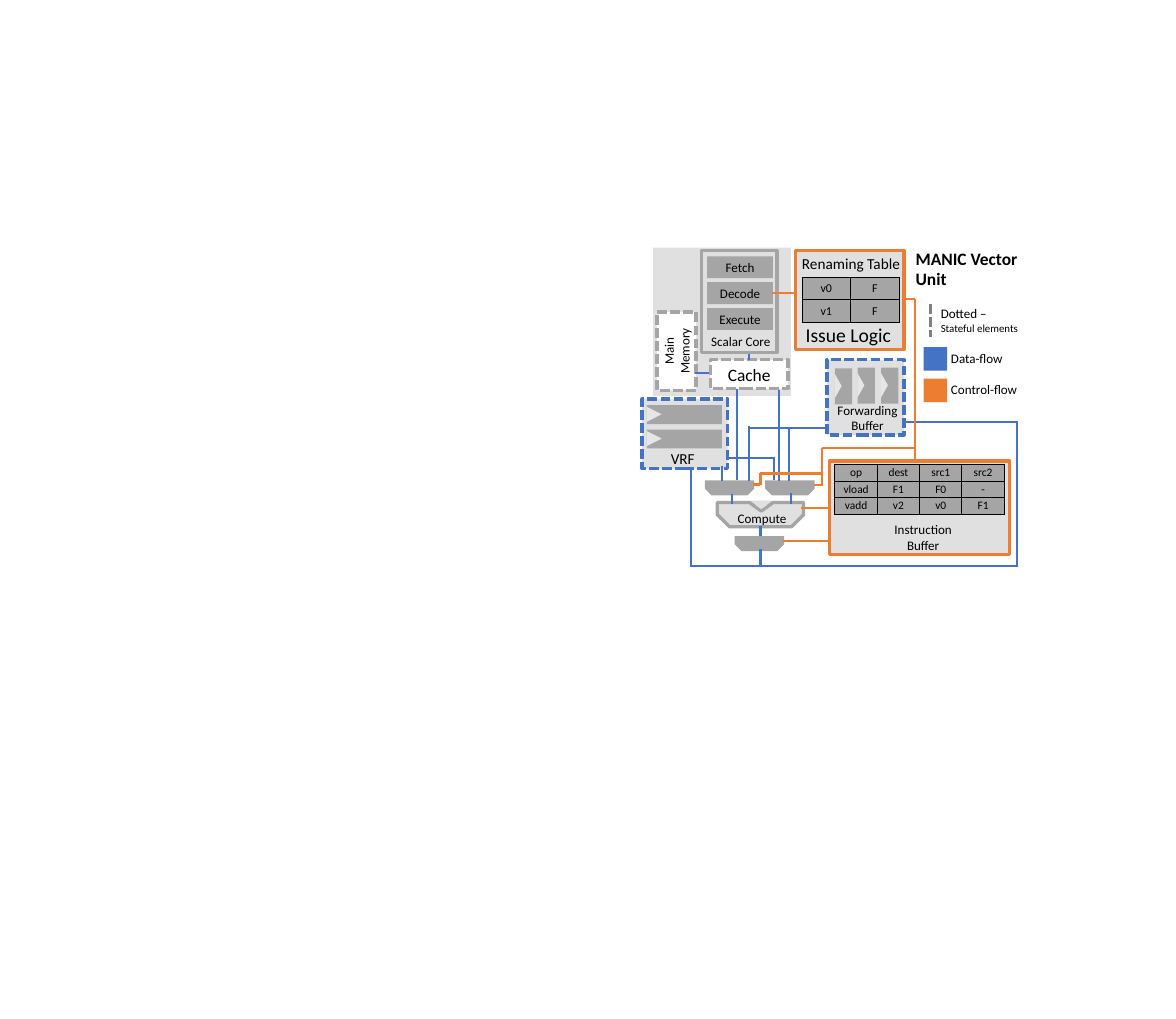
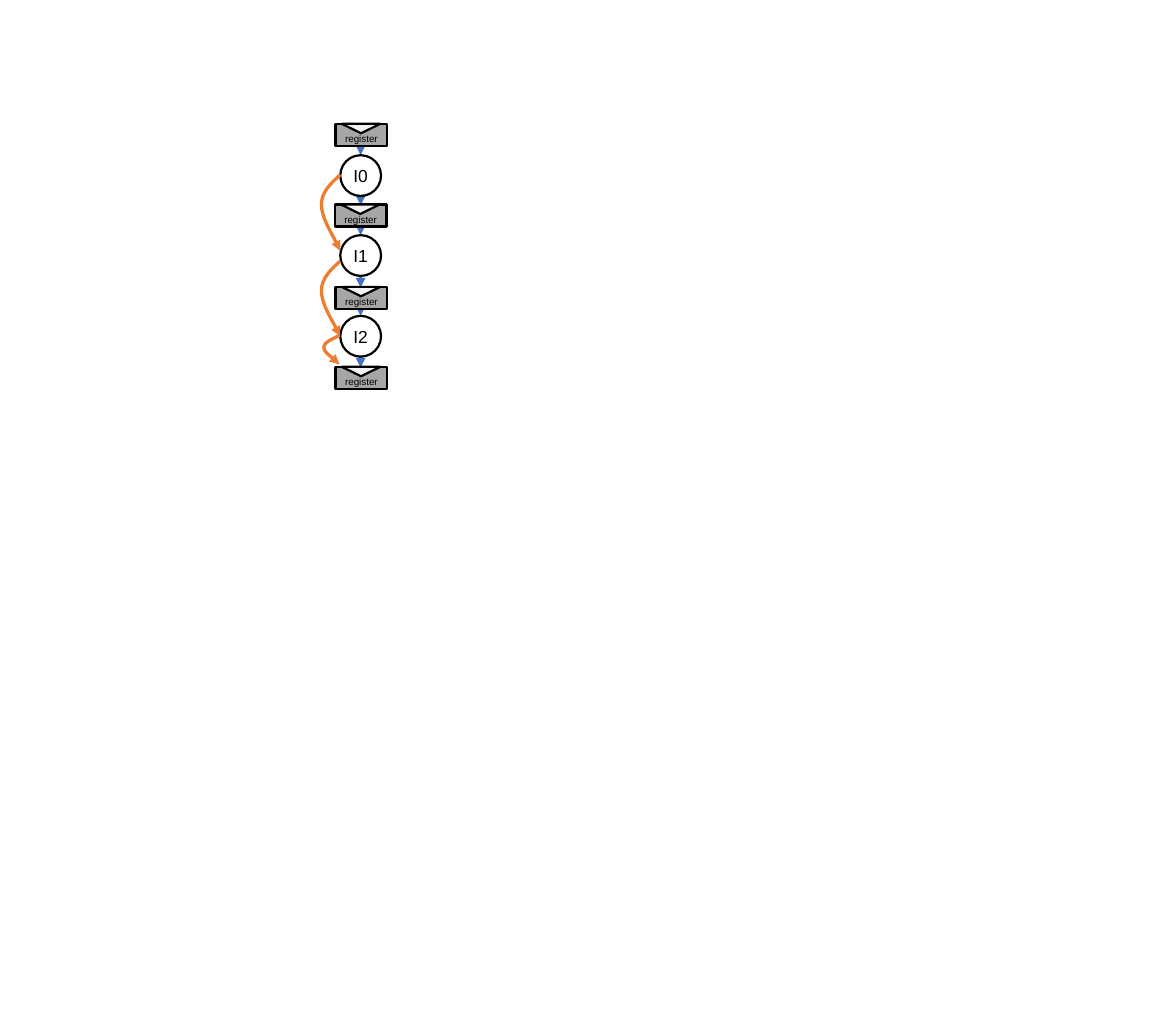
import dataclasses

import lxml.etree
import pptx
import pptx.dml.color
import pptx.enum.dml
import pptx.enum.shapes
import pptx.enum.text
import pptx.oxml.ns
import pptx.util

PX = 9144  # EMU in one px: 100 px make an inch
SHAPE = pptx.enum.shapes.MSO_SHAPE
ALIGN = pptx.enum.text.PP_ALIGN
ANCHOR = pptx.enum.text.MSO_ANCHOR
qn = pptx.oxml.ns.qn


@dataclasses.dataclass(frozen=True)
class Theme:
    data: str = "4472C4"
    control: str = "ED7D31"
    unit: str = "A5A5A5"
    panel: str = "E0E0E0"
    notch: str = "E7E6E6"
    dotted: str = "808080"
    register: str = "A6A6A6"
    register_notch: str = "F2F2F2"
    ink: str = "000000"
    paper: str = "FFFFFF"
    font: str = "Calibri"
    flow_font: str = "Arial"
    tiny: float = 9
    note: float = 10
    cell: float = 10.5
    entry: float = 11
    body: float = 12
    caption: float = 14
    heading: float = 16
    large: float = 18


THEME = Theme()


# --- Element helpers ---

def rgb(color):
    return pptx.dml.color.RGBColor.from_string(color)


def emu(*lengths):
    return [length * PX for length in lengths]


def write(holder, text, *, size=THEME.body, last_size=None, font=THEME.font,
          bold=False, align=ALIGN.CENTER, anchor=None, insets=None, wrap=True):
    """Put text in a shape or cell, one paragraph for each line."""
    frame = holder.text_frame
    if hasattr(holder, "vertical_anchor"):
        holder.vertical_anchor = anchor
        margins = holder
    else:
        frame.vertical_anchor = anchor
        frame.word_wrap = wrap
        margins = frame
    if insets is not None:
        (margins.margin_left, margins.margin_top,
         margins.margin_right, margins.margin_bottom) = emu(*insets)
    lines = text.split("\n")
    for index, line in enumerate(lines):
        paragraph = frame.paragraphs[0] if index == 0 else frame.add_paragraph()
        paragraph.alignment = align
        run = paragraph.add_run()
        run.text = line
        is_last = index == len(lines) - 1
        run.font.size = pptx.util.Pt(last_size if last_size and is_last else size)
        run.font.name = font
        run.font.bold = bold
        run.font.color.rgb = rgb(THEME.ink)


def stroke(line, color, weight, dashed=False):
    line.color.rgb = rgb(color)
    line.width = pptx.util.Pt(weight)
    if dashed:
        line.dash_style = pptx.enum.dml.MSO_LINE.SQUARE_DOT


def add_arrowhead(item):
    outline = item.element.find(".//" + qn("a:ln"))
    lxml.etree.SubElement(outline, qn("a:tailEnd"), type="triangle")


def block(slide, box, fill=None, line=None, *, weight=3, dashed=False,
          kind=SHAPE.RECTANGLE, turn=0, adjust=(), opacity=None):
    part = slide.shapes.add_shape(kind, *emu(*box))
    part.shadow.inherit = False
    part.rotation = turn
    for index, value in enumerate(adjust):
        part.adjustments[index] = value
    if fill:
        part.fill.solid()
        part.fill.fore_color.rgb = rgb(fill)
        if opacity:
            tint = part.element.spPr.find(".//" + qn("a:srgbClr"))
            lxml.etree.SubElement(tint, qn("a:alpha"), val=str(opacity * 1000))
    else:
        part.fill.background()
    if line:
        stroke(part.line, line, weight, dashed)
    else:
        part.line.fill.background()
    return part


def label(slide, box, text, **style):
    write(slide.shapes.add_textbox(*emu(*box)), text, **style)


def wire(slide, ends, color, weight=2, *, dashed=False, arrow=False):
    link = slide.shapes.add_connector(
        pptx.enum.shapes.MSO_CONNECTOR.STRAIGHT, *emu(*ends))
    stroke(link.line, color, weight, dashed)
    if arrow:
        add_arrowhead(link)
    lxml.etree.SubElement(link.element.spPr, qn("a:effectLst"))


def grid(slide, corner, column_width, row_height, rows, **style):
    columns = len(rows[0])
    frame = slide.shapes.add_table(
        len(rows), columns,
        *emu(*corner, column_width * columns, row_height * len(rows)))
    table = frame.table
    table.first_row = table.horz_banding = False
    for column in table.columns:
        column.width = column_width * PX
    for row, entries in zip(table.rows, rows):
        row.height = row_height * PX
        for cell, entry in zip(row.cells, entries):
            write(cell, entry, anchor=ANCHOR.MIDDLE, **style)
            properties = cell._tc.get_or_add_tcPr()
            for side in ("lnL", "lnR", "lnT", "lnB"):
                border = lxml.etree.SubElement(
                    properties, qn("a:" + side), w=str(pptx.util.Pt(1)))
                paint = lxml.etree.SubElement(border, qn("a:solidFill"))
                lxml.etree.SubElement(paint, qn("a:srgbClr"), val=THEME.ink)
            cell.fill.solid()
            cell.fill.fore_color.rgb = rgb(THEME.unit)


def curved_arrow(slide, points):
    """Draw Bezier curves: a start, then two handles and an end for each."""
    builder = slide.shapes.build_freeform(*points[0], scale=PX)
    builder.add_line_segments(points[1:], close=False)
    arc = builder.convert_to_shape()
    arc.shadow.inherit = False
    arc.fill.background()
    stroke(arc.line, THEME.control, 3)
    add_arrowhead(arc)
    outline = arc.element.find(".//" + qn("a:path"))
    steps = outline.findall(qn("a:lnTo"))
    for start in range(0, len(steps), 3):
        curve = lxml.etree.SubElement(outline, qn("a:cubicBezTo"))
        for step in steps[start:start + 3]:
            curve.append(step[0])
            outline.remove(step)


# --- Parts of the vector unit ---

FLUSH = (0, 0, 0, 0)


def scalar_side(slide):
    block(slide, (833, 316, 176, 189), THEME.unit, opacity=34)
    block(slide, (895, 320, 96, 130), line=THEME.unit)
    for index, stage in enumerate(("Fetch", "Decode", "Execute")):
        write(block(slide, (902, 327 + index * 33, 84, 28), THEME.unit), stage,
              anchor=ANCHOR.MIDDLE, insets=FLUSH)
    label(slide, (897, 420, 96, 30), "Scalar Core", wrap=False)
    write(block(slide, (906, 459, 99, 37), THEME.paper, THEME.unit, dashed=True),
          "Cache", size=THEME.heading, anchor=ANCHOR.TOP)
    write(block(slide, (813, 423, 100, 50), THEME.paper, THEME.unit,
                dashed=True, turn=270), "Main\nMemory", anchor=ANCHOR.TOP)


def control_side(slide):
    block(slide, (1058, 588, 230, 119), THEME.panel, THEME.control)
    label(slide, (1088, 661, 179, 50), "Instruction\nBuffer", wrap=False)
    grid(slide, (1065, 593), 54, 21,
         [("op", "dest", "src1", "src2"),
          ("vload", "F1", "F0", "-"),
          ("vadd", "v2", "v0", "F1")], size=THEME.cell, insets=FLUSH)
    block(slide, (1015, 320, 138, 126), THEME.panel, THEME.control)
    label(slide, (1017, 407, 130, 40), "Issue Logic", size=THEME.large, wrap=False)
    label(slide, (1022, 325, 127, 24), "Renaming Table", size=THEME.caption,
          insets=FLUSH)
    grid(slide, (1023, 354), 62, 28, [("v0", "F"), ("v1", "F")], size=THEME.entry)


def storage(slide):
    block(slide, (819, 509, 109, 89), THEME.panel, THEME.data, dashed=True)
    for top in (517, 548):
        block(slide, (825, top, 96, 24), THEME.unit)
        block(slide, (825, top + 2, 19, 19), THEME.notch,
              kind=SHAPE.ISOSCELES_TRIANGLE, turn=90)
    label(slide, (823, 573, 96, 22), "VRF", size=THEME.caption, insets=FLUSH)

    block(slide, (1055, 459, 98, 96), THEME.panel, THEME.data, dashed=True)
    for left, top in ((1065, 470), (1094, 469), (1124, 469)):
        block(slide, (left, top, 22, 46), THEME.unit)
        block(slide, (left - 12, top + 18, 32, 9), THEME.notch,
              kind=SHAPE.ISOSCELES_TRIANGLE, turn=90)
    label(slide, (1056, 508, 101, 50), "Forwarding\nBuffer", wrap=False)


def compute(slide):
    block(slide, (915, 641, 110, 31), THEME.panel, THEME.unit,
          kind=SHAPE.SNIP_2_SAME_RECTANGLE, turn=180, adjust=(0.5, 0))
    block(slide, (957, 642, 28, 10), THEME.paper, THEME.unit,
          kind=SHAPE.ISOSCELES_TRIANGLE, turn=180)
    label(slide, (928, 646, 88, 30), "Compute", wrap=False)
    block(slide, (957, 639, 28, 10), THEME.panel,
          kind=SHAPE.ISOSCELES_TRIANGLE, turn=180)
    for left, top in ((937, 684), (899, 613), (976, 613)):  # multiplexers
        block(slide, (left, top, 63, 19), THEME.unit,
              kind=SHAPE.SNIP_2_SAME_RECTANGLE, turn=180, adjust=(0.45, 0))


def wiring(slide):
    data_flow = (
        # Result bus back to the VRF and the forwarding buffer
        (1298, 722, 881, 722), (1297, 537, 1297, 722), (1153, 538, 1297, 538),
        (881, 597, 881, 723), (970, 701, 970, 723), (970, 671, 970, 684),
        # Multiplexers into compute
        (934, 630, 934, 643), (1009, 629, 1009, 643),
        # Scalar core, cache and memory
        (955, 451, 955, 459), (887, 476, 904, 476),
        (940, 496, 940, 613), (994, 498, 994, 614),
        # VRF and forwarding buffer into the multiplexers
        (921, 595, 921, 614), (928, 584, 988, 584), (987, 583, 987, 613),
        (954, 546, 1053, 546), (955, 544, 955, 614), (1006, 545, 1006, 614))
    control_flow = (
        # Decode to issue logic to instruction buffer
        (1016, 374, 985, 374), (1167, 382, 1153, 382), (1167, 381, 1167, 588),
        # Instruction buffer to compute
        (1059, 648, 1022, 648), (1058, 690, 999, 690),
        # Issue logic to the multiplexers
        (1048, 572, 1166, 572), (1048, 571, 1048, 620), (1038, 619, 1049, 619),
        (969, 604, 1048, 604), (970, 619, 970, 604), (970, 618, 961, 618))
    for color, runs in ((THEME.data, data_flow), (THEME.control, control_flow)):
        for ends in runs:
            wire(slide, ends, color)


def legend(slide):
    style = {"align": ALIGN.LEFT, "insets": FLUSH}
    label(slide, (1168, 316, 130, 54), "MANIC Vector Unit",
          size=THEME.heading, bold=True, **style)
    wire(slide, (1187, 388, 1187, 430), THEME.dotted, 3, dashed=True)
    label(slide, (1200, 390, 103, 37), "Dotted –\nStateful elements",
          last_size=THEME.note, **style)
    for top, color, meaning in ((443, THEME.data, "Data-flow"),
                                (483, THEME.control, "Control-flow")):
        block(slide, (1178, top, 30, 30), color)
        label(slide, (1213, top + 4, 121, 20), meaning, **style)


# --- Instruction chain ---

def instruction_chain(slide):
    register_tops = (158, 261, 366, 468)
    instruction_tops = (198, 300, 403)
    for index, top in enumerate(instruction_tops):
        for start, end in ((register_tops[index] + 27, top),
                           (top + 52, register_tops[index + 1] + 1)):
            wire(slide, (460, start, 460, end), THEME.data, 3, arrow=True)
    for index, top in enumerate(instruction_tops):
        write(block(slide, (434, top, 52, 52), THEME.paper, THEME.ink, weight=2,
                    kind=SHAPE.OVAL), f"I{index}", size=THEME.heading,
              font=THEME.flow_font, anchor=ANCHOR.MIDDLE, insets=FLUSH)
    for top, drop in ((223, 97), (333, 96)):
        curved_arrow(slide, [
            (434, top), (422, top + 11), (410, top + 22), (410, top + 38),
            (410, top + 54), (430, top + 87), (434, top + drop)])
    curved_arrow(slide, [(433, 428), (423, 433), (413, 437), (413, 443),
                         (413, 449), (430, 461), (433, 465)])
    for left, top in zip((428, 427, 428, 428), register_tops):
        write(block(slide, (left, top, 66, 28), THEME.register, THEME.ink, weight=2),
              "register", size=THEME.tiny, font=THEME.flow_font,
              anchor=ANCHOR.MIDDLE, insets=(10, 19, 10, 10))
        block(slide, (left + 8, top, 49, 12), THEME.register_notch, THEME.ink,
              weight=2, kind=SHAPE.ISOSCELES_TRIANGLE, turn=180)


def main():
    deck = pptx.Presentation()
    deck.slide_width, deck.slide_height = emu(1500, 1300)
    blank = deck.slide_layouts[6]
    vector_unit = deck.slides.add_slide(blank)
    for draw in (scalar_side, control_side, storage, compute, wiring, legend):
        draw(vector_unit)
    instruction_chain(deck.slides.add_slide(blank))
    deck.save("out.pptx")


if __name__ == "__main__":
    main()
